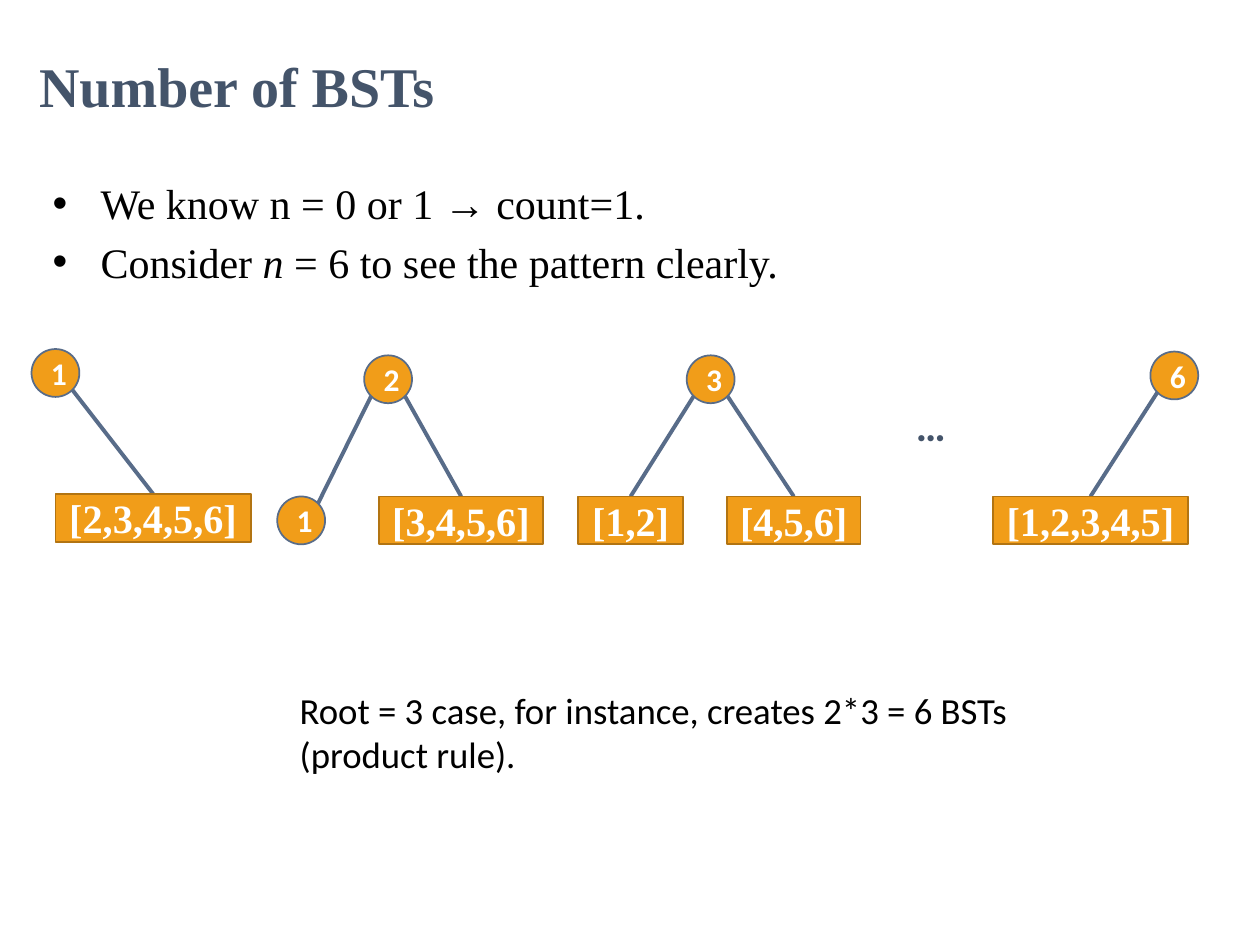
import math

import lxml.etree
import pptx
import pptx.dml.color
import pptx.enum.shapes
import pptx.enum.text
import pptx.oxml.ns
import pptx.util

RGB = pptx.dml.color.RGBColor.from_string
SHAPE = pptx.enum.shapes.MSO_SHAPE
ALIGN = pptx.enum.text.PP_ALIGN
ANCHOR = pptx.enum.text.MSO_ANCHOR
qn = pptx.oxml.ns.qn

THEME = {
    "serif": "Times New Roman", "sans": "Calibri",
    "slate": RGB("44546A"), "edge": RGB("586C89"), "border": RGB("B27412"),
    "orange": RGB("F19D19"), "white": RGB("FFFFFF"), "black": RGB("000000"),
    "title": 32, "body": 24, "keys": 23, "note": 21, "node": 18,
}

# The slide is a grid of 100 columns by 75 rows of equal size.
deck = pptx.Presentation()
deck.slide_width = pptx.util.Inches(10)
deck.slide_height = pptx.util.Inches(7.5)
CELL = deck.slide_width // 100
NODE = 3.8
page = deck.slides.add_slide(deck.slide_layouts[6])


def write(frame, text, face, size, color, bold=False):
    """Fill the first paragraph of a text frame and set its font."""
    para = frame.paragraphs[0]
    para.text = text
    para.font.name = THEME[face]
    para.font.size = pptx.util.Pt(THEME[size])
    para.font.color.rgb = THEME[color]
    para.font.bold = bold
    return para


def add_label(text, column, row, width):
    """Draw a round node for a single key, or a box for a list of keys."""
    single = len(text) == 1
    label = page.shapes.add_shape(
        SHAPE.OVAL if single else SHAPE.RECTANGLE,
        *(round(v * CELL) for v in (column, row, width, NODE)))
    label.shadow.inherit = False
    label.fill.solid()
    label.fill.fore_color.rgb = THEME["orange"]
    label.line.color.rgb = THEME["edge" if single else "border"]
    label.line.width = pptx.util.Pt(1)
    frame = label.text_frame
    frame.vertical_anchor = ANCHOR.MIDDLE
    frame.word_wrap = single
    face, size = ("sans", "node") if single else ("serif", "keys")
    write(frame, text, face, size, "white", True).alignment = ALIGN.CENTER


# Each tree: root, its column and row, then children as (text, column, row, width)
trees = [
    ("1", 2.5, 27.7, [("[2,3,4,5,6]", 4.4, 39.2, 15.5)]),
    ("2", 28.9, 28.2, [("1", 22, 39.4, NODE), ("[3,4,5,6]", 30.1, 39.4, 13)]),
    ("3", 54.5, 28.2, [("[1,2]", 45.9, 39.4, 8.3), ("[4,5,6]", 57.7, 39.4, 10.6)]),
    ("6", 91.3, 27.9, [("[1,2,3,4,5]", 78.8, 39.4, 15.5)]),
]
radius = NODE / 2
diagonal = radius * math.sqrt(0.5)
for root, column, row, children in trees:
    add_label(root, column, row, NODE)
    for text, left, top, width in children:
        root_x, child_x = column + radius, left + width / 2
        side = math.copysign(diagonal, child_x - root_x)
        end_x, end_y = child_x, top
        if len(text) == 1:
            end_x, end_y = child_x - side, top + radius - diagonal
        edge = page.shapes.add_connector(
            pptx.enum.shapes.MSO_CONNECTOR.STRAIGHT,
            *(round(v * CELL) for v in
              (root_x + side, row + radius + diagonal, end_x, end_y)))
        edge.line.color.rgb = THEME["edge"]
        edge.line.width = pptx.util.Pt(2.25)
        lxml.etree.SubElement(edge._element.spPr, qn("a:effectLst"))
        add_label(text, left, top, width)

# Text, column, row, width, height, face, size, color, bold, tight margins
texts = [
    ("Number of BSTs", 2.4, 3.5, 61.4, 6.5, "serif", "title", "slate", True),
    ("…", 72, 32, 5.3, 3.4, "sans", "body", "slate", True),
    ("Root = 3 case, for instance, creates 2*3 = 6 BSTs (product rule).",
     22.8, 54.1, 68.5, 8.1, "sans", "note", "black", False),
]
for text, *place, face, size, color, bold in texts:
    frame = page.shapes.add_textbox(*(round(v * CELL) for v in place)).text_frame
    frame.word_wrap = True
    if bold:
        frame.vertical_anchor = ANCHOR.MIDDLE
        frame.margin_left = frame.margin_right = round(0.7 * CELL)
        frame.margin_top = frame.margin_bottom = round(0.4 * CELL)
    write(frame, text, face, size, color, bold)

# Bulleted statements, each a list of (text, italic) spans
statements = [
    [("We know n = 0 or 1 → count=1.", False)],
    [("Consider ", False), ("n", True), (" = 6 to see the pattern clearly.", False)],
]
body = page.shapes.add_textbox(
    *(round(v * CELL) for v in (3.2, 13.6, 93.3, 8.4))).text_frame
body.word_wrap = True
for index, spans in enumerate(statements):
    para = body.add_paragraph() if index else body.paragraphs[0]
    if index:
        para.space_before = pptx.util.Pt(0.2 * THEME["body"])
    properties = para._p.get_or_add_pPr()
    properties.set("marL", str(round(3.8 * CELL)))
    properties.set("indent", str(round(-3.8 * CELL)))
    lxml.etree.SubElement(properties, qn("a:buFont"), typeface="Arial")
    lxml.etree.SubElement(properties, qn("a:buChar"), char="•")
    para.font.name = THEME["serif"]
    para.font.size = pptx.util.Pt(THEME["body"])
    para.font.color.rgb = THEME["black"]
    for text, italic in spans:
        span = para.add_run()
        span.text = text
        if italic:
            span.font.italic = True

deck.save("out.pptx")
